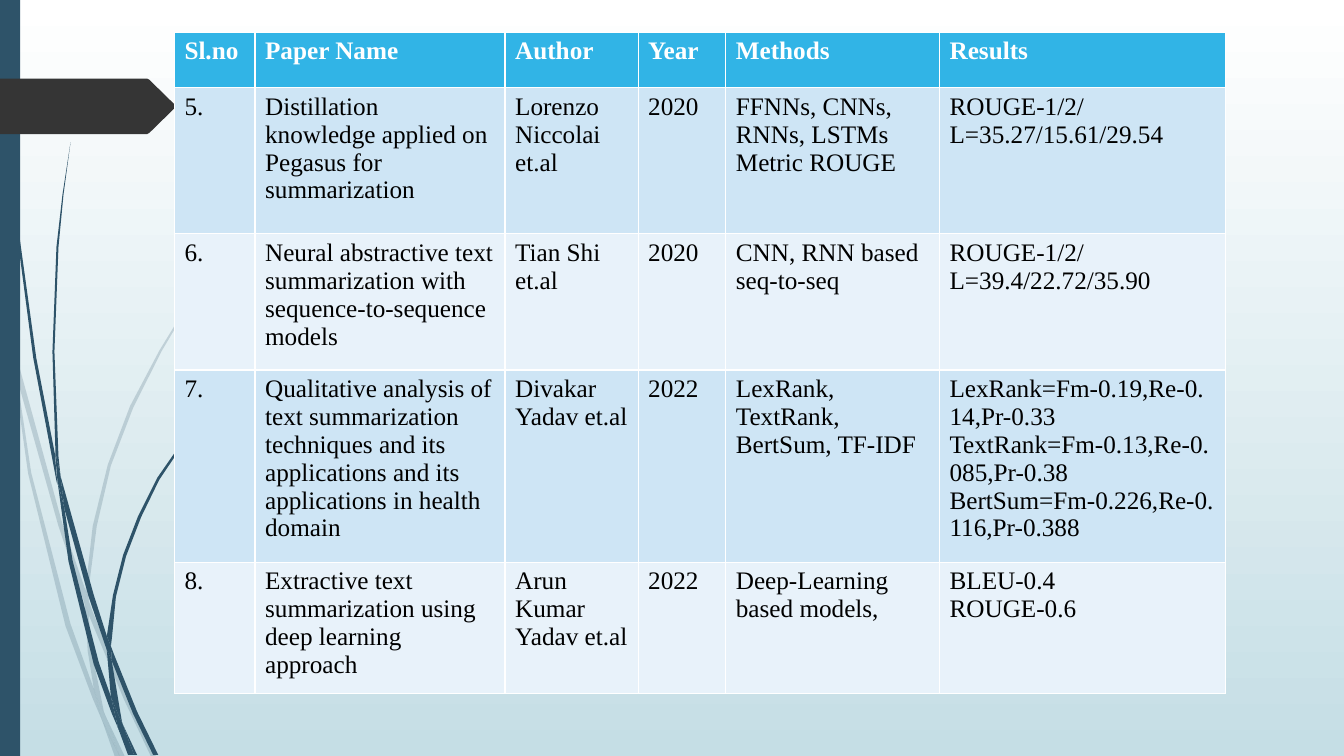
import pptx
import pptx.dml.color
import pptx.enum.shapes
import pptx.oxml.ns
import pptx.util
from lxml import etree

Inches = pptx.util.Inches
FONT = "Times New Roman"
SLATE = "2E5369"

# Stem outlines: corner points in inches, as "x,y" pairs
PALE_STEMS = [
    "0.11,3.5 0.09,3.22 0,2.82 0,2.99 0.1,3.44",
    "0.58,5.22 0.84,5.99 0.85,5.86 0.62,5.2 0.14,3.45 0.17,3.76",
    "0.92,6.07 0.88,5.96 0.88,6.1 1.23,6.94 1.5,7.51 1.55,7.51 1.27,6.92",
    "1.19,7.51 1.24,7.51 1.05,7.11",
    "0.93,6.83 0.7,6.19 0.31,4.69 0.17,3.76 0.11,3.5 0.28,4.7 0.65,6.21 0.92,6.93 1.01,7.14 0.99,7.07",
    "0.84,5.99 0.87,6.46 0.93,6.83 0.96,6.92 1.05,7.11 1.03,7.06 0.91,6.46 0.88,6.1 0.88,6.08",
    "0.88,5.84 0.96,5.22 1.1,4.62 1.32,4.05 1.6,3.49 1.92,2.95 2.29,2.45 2.68,1.98 2.9,1.75 3.12,1.54 "
    "3.12,1.53 2.89,1.75 2.68,1.97 2.28,2.44 1.91,2.94 1.58,3.48 1.29,4.03 1.07,4.61 0.92,5.22 0.85,5.84 "
    "0.85,5.86 0.88,5.96",
    "1.01,7.14 1.14,7.51 1.19,7.51",
    "0.88,6.08 0.88,6.1 0.88,5.96 0.85,5.86 0.84,5.99",
    "0.96,6.92 0.93,6.83 0.99,7.07 1.01,7.14 1.19,7.51 1.05,7.11",
]
DARK_STEMS = [
    "0.07,1.1 0.17,2.33 0.33,3.55 0.56,4.77 0.57,4.81 0.55,4.57 0.55,4.53 0.36,3.55 0.19,2.32 0.08,1.09 "
    "0.05,0.48 0.04,0 0.03,0 0.04,0.48",
    "0.88,5.92 1.06,6.45 1.06,6.31 0.93,5.9 0.6,4.72 0.64,5.05",
    "1.13,6.49 1.1,6.41 1.11,6.56 1.32,7.08 1.52,7.49 1.57,7.49 1.36,7.06",
    "1.1,6.91 0.98,6.57 0.72,5.56 0.64,5.05 0.57,4.77 0.68,5.57 0.93,6.59 1.11,7.08 1.17,7.22 1.16,7.17",
    "0.6,4.72 0.58,4.53 0.54,3.49 0.58,2.45 0.63,1.93 0.7,1.41 0.62,1.93 0.56,2.45 0.52,3.49 0.55,4.49",
    "1.33,7.49 1.36,7.49 1.22,7.19",
    "0.57,4.77 0.64,5.05 0.6,4.72 0.55,4.49 0.55,4.53",
    "1.11,6.33 1.15,5.92 1.25,5.52 1.4,5.13 1.58,4.76 2.05,4.06 2.31,3.74 2.45,3.59 2.61,3.44 2.6,3.44 "
    "2.45,3.58 2.31,3.73 2.04,4.05 1.56,4.74 1.37,5.12 1.22,5.51 1.12,5.91 1.06,6.31 1.1,6.41",
    "1.17,7.22 1.27,7.49 1.31,7.49",
    "1.06,6.45 1.1,6.91 1.16,7.06 1.22,7.19 1.21,7.16 1.11,6.56 1.09,6.51",
    "1.06,6.45 1.09,6.51 1.11,6.56 1.1,6.41 1.06,6.31",
    "1.16,7.06 1.1,6.91 1.16,7.17 1.17,7.22 1.3,7.49 1.33,7.49 1.22,7.19",
]

COLUMN_WIDTHS = [0.8, 2.48, 1.32, 0.87, 2.12, 2.84]
ROW_HEIGHTS = [0.55, 1.45, 1.35, 1.91, 1.3]
PAPERS = [
    ["Sl.no", "Paper Name", "Author", "Year", "Methods", "Results"],
    ["5.", "Distillation knowledge applied on Pegasus for summarization", "Lorenzo Niccolai et.al", "2020",
     "FFNNs, CNNs, RNNs, LSTMs\nMetric ROUGE", "ROUGE-1/2/L=35.27/15.61/29.54"],
    ["6.", "Neural abstractive text summarization with sequence-to-sequence models", "Tian Shi et.al", "2020",
     "CNN, RNN based seq-to-seq", "ROUGE-1/2/L=39.4/22.72/35.90"],
    ["7.", "Qualitative analysis of text summarization techniques and its applications and its "
     "applications in health domain", "Divakar Yadav et.al", "2022", "LexRank, TextRank, BertSum, TF-IDF",
     "LexRank=Fm-0.19,Re-0.14,Pr-0.33\nTextRank=Fm-0.13,Re-0.085,Pr-0.38\nBertSum=Fm-0.226,Re-0.116,Pr-0.388"],
    ["8.", "Extractive text summarization using deep learning approach", "Arun Kumar Yadav et.al", "2022",
     "Deep-Learning based models,", "BLEU-0.4\nROUGE-0.6"],
]


def color(code):
    return pptx.dml.color.RGBColor.from_string(code)


def paint(shape, code, opacity=100):
    shape.shadow.inherit = False
    shape.fill.solid()
    shape.fill.fore_color.rgb = color(code)
    shape.line.fill.background()
    if opacity < 100:
        tint = shape.fill._xPr.find(".//" + pptx.oxml.ns.qn("a:srgbClr"))
        etree.SubElement(tint, pptx.oxml.ns.qn("a:alpha"), val=str(opacity * 1000))


def add_outline(shapes, points, left, top):
    places = [(Inches(left + x), Inches(top + y)) for x, y in points]
    builder = shapes.build_freeform(*places[0], scale=1.0)
    builder.add_line_segments(places[1:], close=True)
    return builder.convert_to_shape()


def add_background(page):
    fill = page.background.fill
    fill.gradient()
    fill.gradient_angle = 270
    for stop, code in zip(fill.gradient_stops, ("FFFFFF", "C5DEE5")):
        stop.color.rgb = color(code)


def add_stems(page, outlines, opacity, left, top):
    group = page.shapes.add_group_shape()
    for outline in outlines:
        points = [tuple(map(float, pair.split(","))) for pair in outline.split()]
        paint(add_outline(group.shapes, points, left, top), SLATE, opacity)


def add_side_band(page, left, top, width, height):
    band = page.shapes.add_shape(pptx.enum.shapes.MSO_SHAPE.RECTANGLE,
                                 Inches(left), Inches(top), Inches(width), Inches(height))
    paint(band, SLATE)


def add_page_tag(page, left, top, width, height):
    notch = width - 0.26
    points = [(0, 0), (notch - 0.02, 0), (notch, 0.01), (width - 0.01, height / 2 - 0.02), (width, height / 2),
              (width - 0.01, height / 2 + 0.02), (notch, height - 0.01), (notch - 0.02, height), (0, height)]
    paint(add_outline(page.shapes, points, left, top), "353535")


def add_paper_table(page, left, top, width, height):
    # The default table style supplies the white rules between cells
    table = page.shapes.add_table(len(PAPERS), len(COLUMN_WIDTHS), Inches(left), Inches(top),
                                  Inches(width), Inches(height)).table
    for column, share in zip(table.columns, COLUMN_WIDTHS):
        column.width = Inches(width * share / sum(COLUMN_WIDTHS))
    for index, (row, share) in enumerate(zip(table.rows, ROW_HEIGHTS)):
        row.height = Inches(height * share / sum(ROW_HEIGHTS))
        header = index == 0
        backing = "31B4E6" if header else ("E8F2FA", "CEE5F5")[index % 2]
        for cell, words in zip(row.cells, PAPERS[index]):
            cell.fill.solid()
            cell.fill.fore_color.rgb = color(backing)
            cell.text_frame.text = words
            for para in cell.text_frame.paragraphs:
                for span in para.runs:
                    span.font.name = FONT
                    span.font.size = pptx.util.Pt(18)
                    span.font.bold = header
                    span.font.color.rgb = color("FFFFFF" if header else "000000")


def main():
    deck = pptx.Presentation()
    deck.slide_width, deck.slide_height = Inches(13.33), Inches(7.5)
    page = deck.slides.add_slide(deck.slide_layouts[6])
    add_background(page)
    # Plant stems, side band and tag along the left edge
    add_stems(page, PALE_STEMS, 20, 0, 0)
    add_stems(page, DARK_STEMS, 100, 0, 0)
    add_side_band(page, 0, 0, 0.2, 7.5)
    add_page_tag(page, 0, 0.78, 1.74, 0.55)
    # Literature survey
    add_paper_table(page, 1.73, 0.32, 10.43, 6.56)
    deck.save("out.pptx")


if __name__ == "__main__":
    main()
